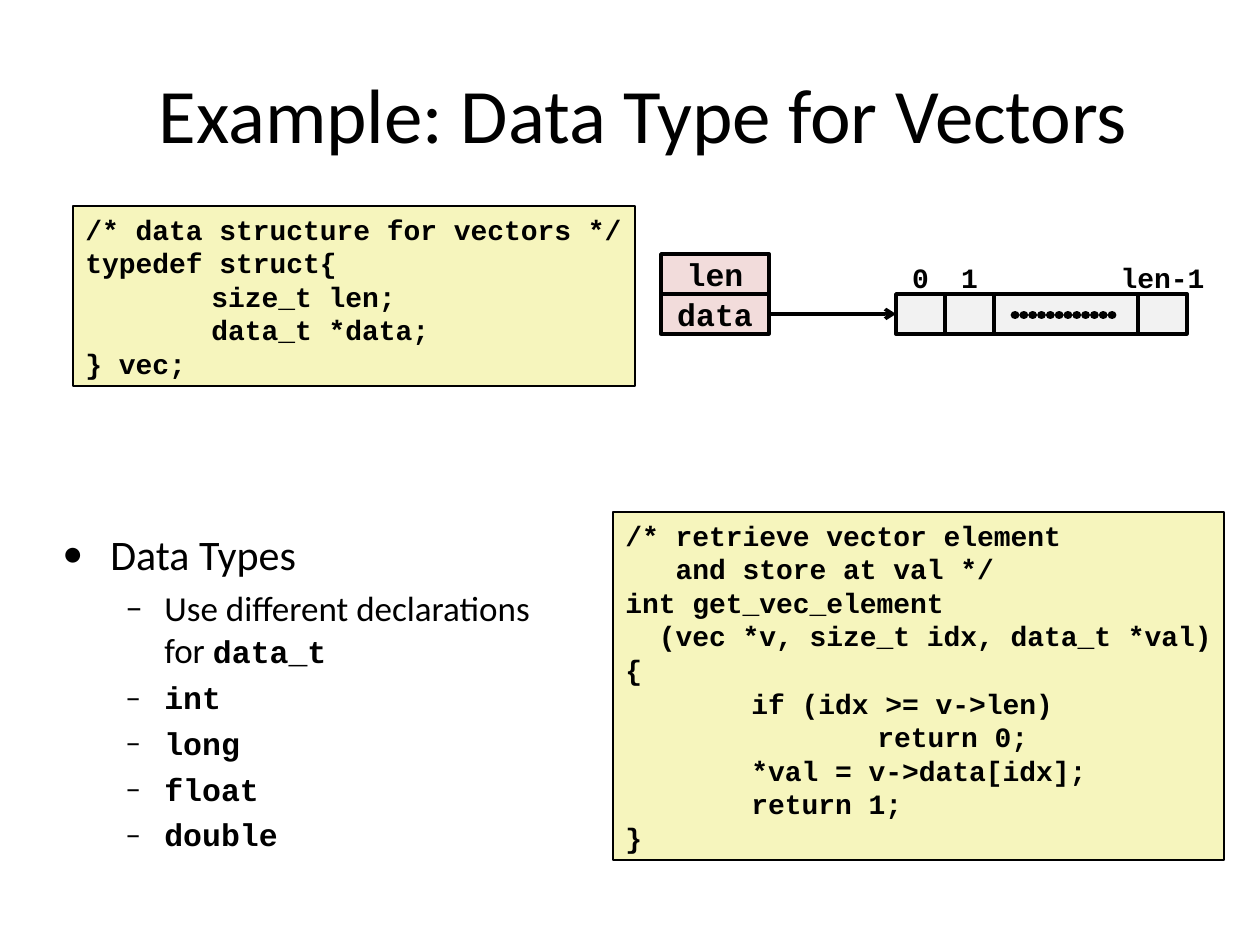
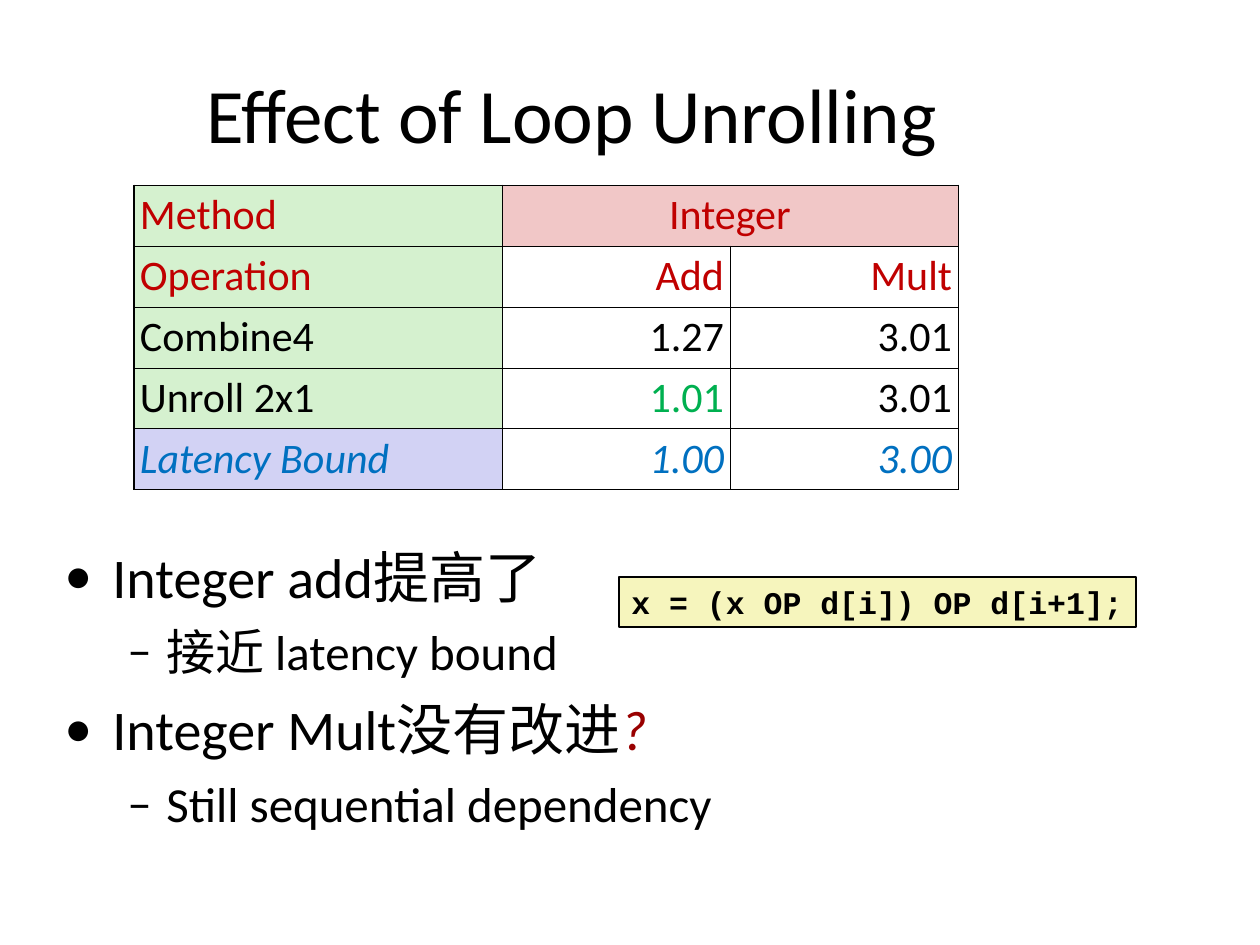
from dataclasses import dataclass

from lxml.etree import SubElement
from pptx import Presentation
from pptx.dml.color import RGBColor
from pptx.enum.shapes import MSO_CONNECTOR, MSO_SHAPE
from pptx.enum.text import MSO_ANCHOR, PP_ALIGN
from pptx.oxml.ns import qn
from pptx.util import Emu, Pt

SCALE = 914400 / 126


@dataclass(frozen=True)
class Theme:
    sans: str = "Calibri"
    mono: str = "Courier New"
    ink: str = "000000"
    code: str = "F6F5BD"
    field: str = "F2DCDB"
    cell: str = "F2F2F2"
    method: str = "D5F1CF"
    group: str = "F1C7C7"
    bound: str = "D2D2F4"
    head: str = "C00000"
    good: str = "00B050"
    limit: str = "0070C0"
    doubt: str = "990000"
    title: int = 44
    large: int = 32
    mid: int = 28
    base: int = 24
    small: int = 20
    label: int = 18
    tiny: int = 16


THEME = Theme()


def px(n):
    return Emu(round(n * SCALE))


def place(box):
    return [px(n) for n in box]


def color(code):
    return RGBColor.from_string(code)


def style(run, size, face=THEME.sans, ink=THEME.ink, bold=False, italic=False):
    font = run.font
    font.name, font.size = face, Pt(size)
    font.bold, font.italic = bold, italic
    font.color.rgb = color(ink)


def write(shape, text, size, align=PP_ALIGN.LEFT, anchor=MSO_ANCHOR.TOP,
          wrap=False, **look):
    frame = shape.text_frame
    frame.text = text
    frame.word_wrap, frame.vertical_anchor = wrap, anchor
    for para in frame.paragraphs:
        para.alignment = align
        for run in para.runs:
            style(run, size, **look)


def rect(slide, box, fill, width):
    shape = slide.shapes.add_shape(MSO_SHAPE.RECTANGLE, *place(box))
    shape.shadow.inherit = False
    shape.fill.solid()
    shape.fill.fore_color.rgb = color(fill)
    shape.line.color.rgb = color(THEME.ink)
    shape.line.width = Pt(width)
    return shape


def line(slide, start, end, width):
    link = slide.shapes.add_connector(
        MSO_CONNECTOR.STRAIGHT, *place(start + end))
    link.line.color.rgb = color(THEME.ink)
    link.line.width = Pt(width)
    SubElement(link._element.spPr, qn("a:effectLst"))
    return link


def title(slide, text, width):
    shape = slide.shapes.add_textbox(*place((49, 60, width, 105)))
    write(shape, text, THEME.title, PP_ALIGN.CENTER, MSO_ANCHOR.MIDDLE, True)


def code(slide, box, text, size=THEME.tiny):
    shape = rect(slide, box, THEME.code, 0.75)
    write(shape, text, size, face=THEME.mono, bold=True)
    for para in shape.text_frame.paragraphs:
        tabs = SubElement(para._p.get_or_add_pPr(), qn("a:tabLst"))
        for stop in (126, 252):
            SubElement(tabs, qn("a:tab"), pos=str(px(stop)), algn="l")


def bullets(slide, box, items, gaps):
    """Fill box with (level, runs) items; gaps holds the space before by level."""
    frame = slide.shapes.add_textbox(*place(box)).text_frame
    frame.word_wrap = True
    marks = (("•", 48, -48), ("–", 102, -39))
    for i, (level, runs) in enumerate(items):
        para = frame.add_paragraph() if i else frame.paragraphs[0]
        para.level = level
        char, left, hang = marks[level]
        props = para._p.get_or_add_pPr()
        props.set("marL", str(px(left)))
        props.set("indent", str(px(hang)))
        SubElement(props, qn("a:buFont"), typeface=THEME.sans)
        SubElement(props, qn("a:buChar"), char=char)
        para.space_before = Pt(gaps[level] if i else 0)
        for text, look in runs:
            run = para.add_run()
            run.text = text
            style(run, **look)


def dotted(slide, start, end):
    """Draw a row of touching round dots."""
    edge = line(slide, start, end, 5).line._ln
    edge.set("cap", "rnd")
    dash = SubElement(edge, qn("a:custDash"))
    SubElement(dash, qn("a:ds"), d="100000", sp="1000")


def vector(slide, left, top):
    """Draw the struct and the array its data field points to."""
    high, wide, room = 40, 49, 120
    mono = dict(face=THEME.mono, bold=True, align=PP_ALIGN.CENTER)
    for i, name in enumerate(("len", "data")):
        field = rect(slide, (left, top + i * high, 108, high), THEME.field, 2)
        write(field, name, THEME.label, anchor=MSO_ANCHOR.MIDDLE, **mono)

    cells, x, y = [], left + 235, top + high
    mid = y + high / 2
    for name, width in (("0", wide), ("1", wide), ("", 144), ("len-1", wide)):
        cells.append(rect(slide, (x, y, width, high), THEME.cell, 2))
        if name:
            box = (x + (width - room) / 2, top, room, 46)
            label = slide.shapes.add_textbox(*place(box))
            write(label, name, THEME.tiny, **mono)
        else:
            dotted(slide, (x + 21, mid + 1), (x + width - 22, mid + 1))
        x += width

    arrow = line(slide, (left + 108, mid), (left + 235, mid), 2)
    arrow.begin_connect(field, 3)
    arrow.end_connect(cells[0], 1)
    SubElement(arrow.line._ln, qn("a:tailEnd"), type="arrow")


def border(cell, first):
    """Rule all four sides, with a heavier left side in the first column."""
    props = cell._tc.get_or_add_tcPr()
    for side in "LRTB":
        width = Pt(1.08 if first and side == "L" else 0.45)
        edge = SubElement(props, qn(f"a:ln{side}"), w=str(width))
        fill = SubElement(edge, qn("a:solidFill"))
        SubElement(fill, qn("a:srgbClr"), val=THEME.ink)


def timing(slide, left, top):
    rows = (("Method", "Integer", ""), ("Operation", "Add", "Mult"),
            ("Combine4", "1.27", "3.01"), ("Unroll 2x1", "1.01", "3.01"),
            ("Latency Bound", "1.00", "3.00"))
    inks = (THEME.head, THEME.head, THEME.ink, THEME.ink, THEME.limit)
    widths, high = (368, 228, 228), 61
    last = len(rows) - 1
    box = (left, top, sum(widths), high * len(rows))
    table = slide.shapes.add_table(
        len(rows), len(widths), *place(box)).table
    for col, width in zip(table.columns, widths):
        col.width = px(width)
    for r, row in enumerate(rows):
        table.rows[r].height = px(high)
        for c, text in enumerate(row):
            cell = table.cell(r, c)
            border(cell, c == 0)
            cell.margin_left = cell.margin_right = px(6)
            cell.margin_top = cell.margin_bottom = px(6)
            fill = THEME.group if r == 0 else None
            if c == 0:
                fill = THEME.bound if r == last else THEME.method
            if fill:
                cell.fill.solid()
                cell.fill.fore_color.rgb = color(fill)
            else:
                cell.fill.background()
            cell.text = text
            para = cell.text_frame.paragraphs[0]
            para.line_spacing = 0.95
            if c:
                para.alignment = PP_ALIGN.RIGHT if r else PP_ALIGN.CENTER
            for run in para.runs:
                ink = THEME.good if text == "1.01" else inks[r]
                style(run, THEME.base, ink=ink, italic=r == last)
    table.cell(0, 1).merge(table.cell(0, 2))


STRUCT = """/* data structure for vectors */
typedef struct{
\tsize_t len;
\tdata_t *data;
} vec;"""

GETTER = """/* retrieve vector element
   and store at val */
int get_vec_element
  (vec *v, size_t idx, data_t *val)
{
\tif (idx >= v->len)
\t\treturn 0;
\t*val = v->data[idx];
\treturn 1;
}"""


def vectors(slide):
    title(slide, "Example: Data Type for Vectors", 1189)
    code(slide, (73, 206, 562, 180), STRUCT)
    code(slide, (613, 512, 611, 348), GETTER)
    vector(slide, 661, 254)
    mono = dict(size=THEME.label, face=THEME.mono, bold=True)
    items = [(0, [("Data Types", dict(size=THEME.base))]),
             (1, [("Use different declarations for ", dict(size=THEME.small)),
                  ("data_t", mono)])]
    items += [(1, [(kind, mono)]) for kind in ("int", "long", "float", "double")]
    bullets(slide, (50, 522, 530, 358), items, (6, 4.5))


def unroll(slide):
    title(slide, "Effect of Loop Unrolling", 1046)
    large, mid = dict(size=THEME.large), dict(size=THEME.mid)
    doubt = dict(large, ink=THEME.doubt, italic=True)
    items = [(0, [("Integer add提高了", large)]),
             (1, [("接近 latency bound", mid)]),
             (0, [("Integer Mult没有改进", large), ("?", doubt)]),
             (1, [("Still sequential dependency", mid)])]
    bullets(slide, (52, 536, 1145, 368), items, (8, 7))
    code(slide, (619, 577, 517, 50), "x = (x OP d[i]) OP d[i+1];", THEME.label)
    timing(slide, 134, 185)


def main():
    deck = Presentation()
    deck.slide_width, deck.slide_height = px(1260), px(945)
    for build in (vectors, unroll):
        build(deck.slides.add_slide(deck.slide_layouts[6]))
    deck.save("out.pptx")


if __name__ == "__main__":
    main()
